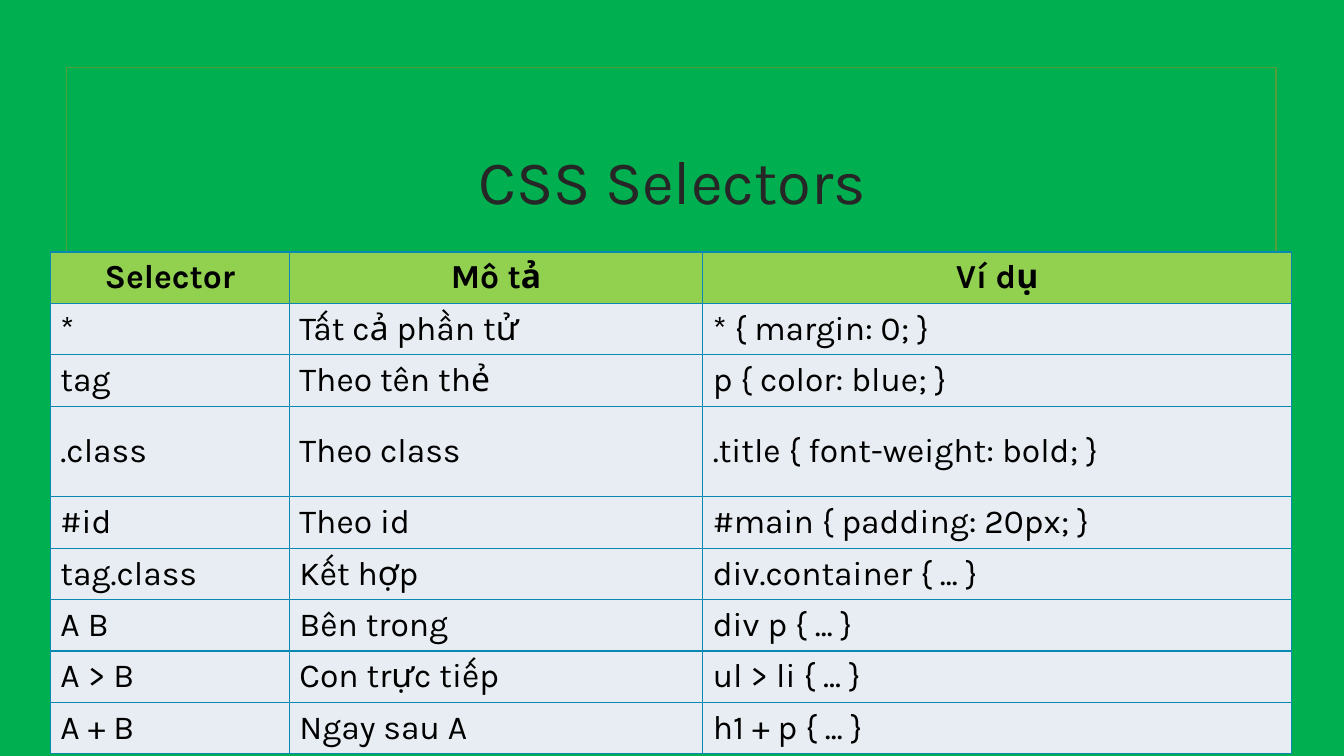
import pptx
import pptx.util
import pptx.dml.color
import pptx.enum.shapes
import pptx.enum.text
import pptx.oxml
import pptx.oxml.ns

Inches = pptx.util.Inches
RGBColor = pptx.dml.color.RGBColor
ALIGN = pptx.enum.text.PP_ALIGN
MIDDLE = pptx.enum.text.MSO_ANCHOR.MIDDLE

GREEN = RGBColor(0x00, 0xB0, 0x50)
FRAME_GREEN = RGBColor(0x54, 0x9E, 0x39)
HEADER_GREEN = RGBColor(0x92, 0xD0, 0x50)
ROW_GREY = RGBColor(0xE7, 0xED, 0xF2)
BORDER_BLUE = RGBColor(0x09, 0x89, 0xB1)
TITLE_GREY = RGBColor(0x26, 0x26, 0x26)
BLACK = RGBColor(0x00, 0x00, 0x00)

COLUMN_WIDTHS = [2.37, 4.1, 5.84]
ROW_HEIGHT = 0.51
TALL_ROWS = {".class": 0.9}
ROWS = [
    ("Selector", "Mô tả", "Ví dụ"),
    ("*", "Tất cả phần tử", "* { margin: 0; }"),
    ("tag", "Theo tên thẻ", "p { color: blue; }"),
    (".class", "Theo class", ".title { font-weight: bold; }"),
    ("#id", "Theo id", "#main { padding: 20px; }"),
    ("tag.class", "Kết hợp", "div.container { ... }"),
    ("A B", "Bên trong", "div p { ... }"),
    ("A > B", "Con trực tiếp", "ul > li { ... }"),
    ("A + B", "Ngay sau A", "h1 + p { ... }"),
]


def write(frame, text, align, **font_format):
    para = frame.paragraphs[0]
    para.alignment = align
    span = para.add_run()
    span.text = text
    color = font_format.pop("color")
    for name, value in {"name": "Karla", **font_format}.items():
        setattr(span.font, name, value)
    span.font.color.rgb = color


def add_borders(cell):
    properties = cell._tc.get_or_add_tcPr()
    for side in ("lnL", "lnR", "lnT", "lnB"):
        properties.append(pptx.oxml.parse_xml(
            f'<a:{side} {pptx.oxml.ns.nsdecls("a")} w="{pptx.util.Pt(1)}">'
            f'<a:solidFill><a:srgbClr val="{BORDER_BLUE}"/></a:solidFill></a:{side}>'))


deck = pptx.Presentation()
deck.slide_width, deck.slide_height = Inches(13.33), Inches(7.5)
page = deck.slides.add_slide(deck.slide_layouts[6])
page.background.fill.solid()
page.background.fill.fore_color.rgb = GREEN

# Frame and rule behind the content
frame = page.shapes.add_shape(pptx.enum.shapes.MSO_SHAPE.RECTANGLE,
                              Inches(0.66), Inches(0.67), Inches(12), Inches(6.17))
frame.shadow.inherit = False
frame.fill.background()
rule = page.shapes.add_connector(pptx.enum.shapes.MSO_CONNECTOR.STRAIGHT,
                                 Inches(1.53), Inches(2.65), Inches(11.81), Inches(2.65))
rule._element.spPr.append(pptx.oxml.parse_xml(f'<a:effectLst {pptx.oxml.ns.nsdecls("a")}/>'))
for outlined in (frame, rule):
    outlined.line.color.rgb = FRAME_GREEN
    outlined.line.width = pptx.util.Pt(1.25)

# Title
title = page.shapes.add_textbox(Inches(1.42), Inches(1.07), Inches(10.5), Inches(1.43))
title.text_frame.word_wrap = True
title.text_frame.vertical_anchor = MIDDLE
write(title.text_frame, "CSS Selectors", ALIGN.CENTER,
      size=pptx.util.Pt(44), color=TITLE_GREY)

# Selector table
heights = [TALL_ROWS.get(row[0], ROW_HEIGHT) for row in ROWS]
table = page.shapes.add_table(len(ROWS), len(COLUMN_WIDTHS), Inches(0.5), Inches(2.5),
                              Inches(sum(COLUMN_WIDTHS)), Inches(sum(heights))).table
for column, width in zip(table.columns, COLUMN_WIDTHS):
    column.width = Inches(width)
for row_index, (texts, height) in enumerate(zip(ROWS, heights)):
    is_header = row_index == 0
    table.rows[row_index].height = Inches(height)
    for column_index, text in enumerate(texts):
        cell = table.cell(row_index, column_index)
        cell.vertical_anchor = MIDDLE
        add_borders(cell)
        cell.fill.solid()
        cell.fill.fore_color.rgb = HEADER_GREEN if is_header else ROW_GREY
        write(cell.text_frame, text, ALIGN.CENTER if is_header else ALIGN.LEFT,
              size=pptx.util.Pt(24), bold=is_header, color=BLACK)

deck.save("out.pptx")
